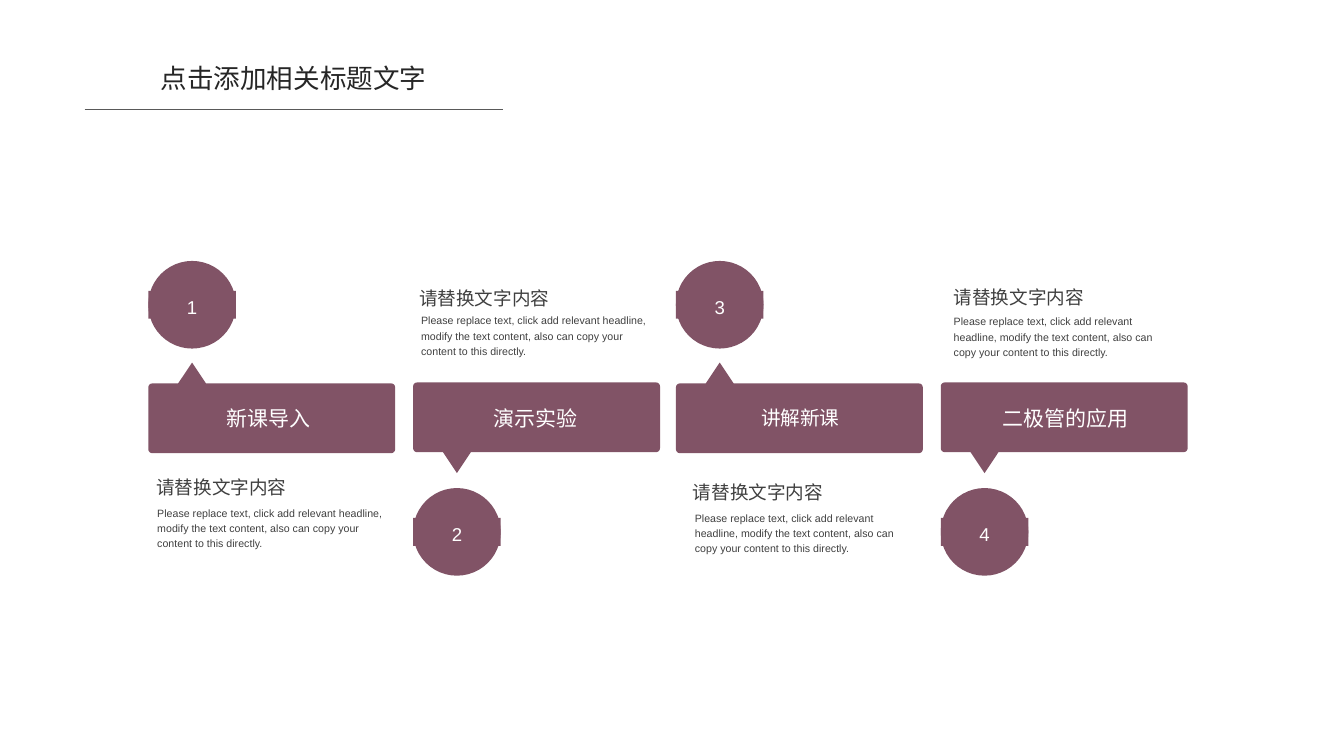
"""Build a four-step lesson timeline with alternating callouts and numbered discs."""
from dataclasses import dataclass
from math import cos, pi, sin

from pptx import Presentation
from pptx.dml.color import RGBColor
from pptx.enum.shapes import MSO_CONNECTOR, MSO_SHAPE
from pptx.enum.text import MSO_ANCHOR as Anchor
from pptx.enum.text import MSO_AUTO_SIZE as AutoSize
from pptx.enum.text import PP_ALIGN as Align
from pptx.oxml.ns import qn
from pptx.shapes.autoshape import Shape
from pptx.slide import Slide
from pptx.util import Emu, Pt

PLUM = RGBColor(0x81, 0x53, 0x66)
WHITE = RGBColor(0xFF, 0xFF, 0xFF)
TITLE_INK = RGBColor(0x26, 0x26, 0x26)
TEXT_INK = RGBColor(0x40, 0x40, 0x40)
RULE_GREY = RGBColor(0x59, 0x59, 0x59)

EMU_PER_PX = 9525
FONT = "Arial"
CARD_W, CARD_H, POINTER_H, CORNER = 248, 70, 21, 4
POINTER_X, POINTER_HALF = 44, 14
DISC, PLATE_DROP, PLATE_H = 88, 30, 28
LABEL_TOP, LABEL_W = 407, 176
HEADING = "请替换文字内容"
BODY = (
    "Please replace text, click add relevant headline, modify the text content, "
    "also can copy your content to this directly."
)


@dataclass(frozen=True)
class Box:
    left: int
    top: int
    width: int
    height: int

    def emu(self) -> tuple[Emu, Emu, Emu, Emu]:
        return px(self.left), px(self.top), px(self.width), px(self.height)


@dataclass(frozen=True)
class Step:
    label: str
    left: int
    points_up: bool
    label_left: int
    heading: Box
    body: Box
    label_size: float = 15.8


STEPS = (
    Step("新课导入", 149, True, 182, Box(157, 478, 134, 23), Box(158, 506, 236, 46)),
    Step("演示实验", 415, False, 450, Box(421, 288, 134, 23), Box(423, 313, 236, 46)),
    Step("讲解新课", 679, True, 716, Box(696, 483, 134, 23), Box(698, 511, 219, 46), 14.8),
    Step("二极管的应用", 945, False, 982, Box(958, 287, 219, 23), Box(958, 314, 219, 46)),
)


def px(length: float) -> Emu:
    return Emu(round(length * EMU_PER_PX))


def write(
    shape: Shape,
    text: str,
    *,
    size: float,
    color: RGBColor,
    align: Align = Align.LEFT,
    anchor: Anchor = Anchor.TOP,
    inset: int = 0,
    spacing: float = 1.0,
    autosize: AutoSize = AutoSize.SHAPE_TO_FIT_TEXT,
) -> None:
    frame = shape.text_frame
    frame.word_wrap = True
    frame.auto_size = autosize
    frame.vertical_anchor = anchor
    frame.margin_left = frame.margin_right = px(inset)
    frame.margin_top = frame.margin_bottom = px(inset)
    paragraph = frame.paragraphs[0]
    paragraph.text = text
    paragraph.alignment = align
    paragraph.line_spacing = spacing
    font = paragraph.runs[0].font
    font.name, font.size = FONT, Pt(size)
    font.color.rgb = color


def add_text(
    slide: Slide, box: Box, text: str, *, size: float, color: RGBColor,
    align: Align = Align.LEFT, spacing: float = 1.0,
) -> None:
    textbox = slide.shapes.add_textbox(*box.emu())
    write(textbox, text, size=size, color=color, align=align, spacing=spacing)


def paint(shape: Shape) -> None:
    shape.shadow.inherit = False
    shape.fill.solid()
    shape.fill.fore_color.rgb = PLUM
    shape.line.fill.background()


def card_outline() -> list[tuple[float, float]]:
    """Trace an upward callout clockwise from its tip, relative to its top left."""
    top, bottom = POINTER_H + CORNER, POINTER_H + CARD_H - CORNER
    right = CARD_W - CORNER
    centres = ((right, top), (right, bottom), (CORNER, bottom), (CORNER, top))
    corners = [
        (x + CORNER * cos(angle), y + CORNER * sin(angle))
        for quarter, (x, y) in enumerate(centres)
        for angle in ((quarter - 1 + step / 4) * pi / 2 for step in range(5))
    ]
    return [
        (POINTER_X, 0),
        (POINTER_X + POINTER_HALF, POINTER_H),
        *corners,
        (POINTER_X - POINTER_HALF, POINTER_H),
    ]


def add_card(slide: Slide, step: Step) -> None:
    top = 364 if step.points_up else 384
    height = POINTER_H + CARD_H
    points = [
        (px(step.left + x), px(top + (y if step.points_up else height - y)))
        for x, y in card_outline()
    ]
    builder = slide.shapes.build_freeform(*points[0], scale=1.0)
    builder.add_line_segments(points[1:], close=True)
    paint(builder.convert_to_shape())


def add_number(slide: Slide, step: Step, number: int) -> None:
    top = 262 if step.points_up else 490
    disc_box = Box(step.left, top, DISC, DISC)
    plate_box = Box(step.left, top + PLATE_DROP, DISC, PLATE_H)
    disc = slide.shapes.add_shape(MSO_SHAPE.OVAL, *disc_box.emu())
    plate = slide.shapes.add_shape(MSO_SHAPE.RECTANGLE, *plate_box.emu())
    paint(disc)
    paint(plate)
    write(plate, str(number), size=14, color=WHITE, align=Align.CENTER,
          anchor=Anchor.MIDDLE, inset=3, spacing=1.2, autosize=AutoSize.NONE)


def add_step(slide: Slide, step: Step, number: int) -> None:
    add_card(slide, step)
    add_number(slide, step, number)
    add_text(slide, Box(step.label_left, LABEL_TOP, LABEL_W, 26), step.label,
             size=step.label_size, color=WHITE, align=Align.CENTER)
    add_text(slide, step.heading, HEADING, size=14, color=TEXT_INK)
    add_text(slide, step.body, BODY, size=8, color=TEXT_INK, spacing=1.2)


def add_title(slide: Slide) -> None:
    add_text(slide, Box(134, 62, 322, 33), "点击添加相关标题文字",
             size=20, color=TITLE_INK, align=Align.CENTER)
    rule = slide.shapes.add_connector(
        MSO_CONNECTOR.STRAIGHT, px(85), px(110), px(505), px(110)
    )
    rule.line.color.rgb = RULE_GREY
    rule.line.width = Pt(0.5)
    properties = rule.element.find(qn("p:spPr"))
    properties.append(properties.makeelement(qn("a:effectLst"), {}))


def main() -> None:
    deck = Presentation()
    deck.slide_width, deck.slide_height = px(1350), px(759)
    slide = deck.slides.add_slide(deck.slide_layouts[6])
    for number, step in enumerate(STEPS, start=1):
        add_step(slide, step, number)
    add_title(slide)
    deck.save("out.pptx")


if __name__ == "__main__":
    main()
